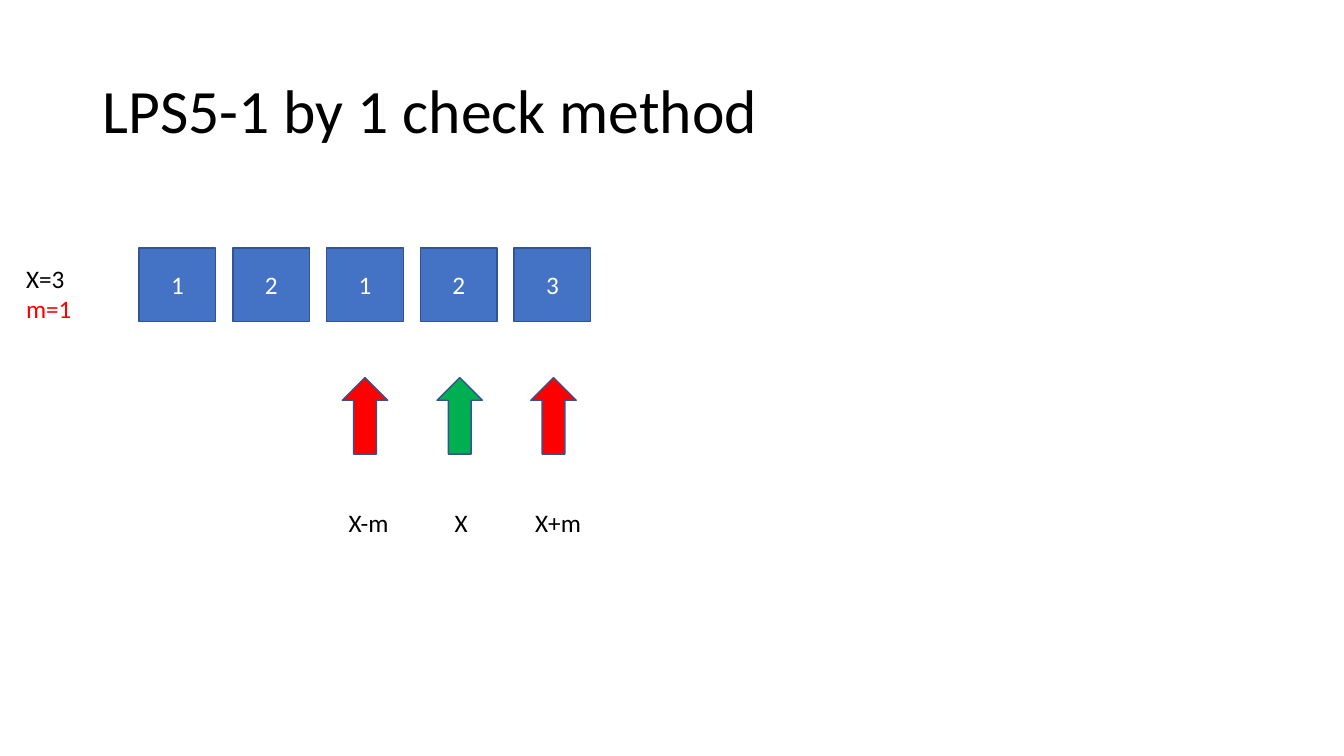
from pptx import Presentation
from pptx.dml.color import RGBColor
from pptx.enum import shapes, text
from pptx.util import Inches, Pt

BLACK = RGBColor(0, 0, 0)
WHITE = RGBColor(255, 255, 255)
BLUE = RGBColor(0x44, 0x72, 0xC4)
EDGE = RGBColor(0x32, 0x54, 0x91)
RED = RGBColor(255, 0, 0)
GREEN = RGBColor(0, 0xB0, 0x50)

FONT = "Calibri"
LEFT, STEP, WIDTH = 1.38, 0.93, 0.76


def style(para, color, size=18):
    for run in para.runs:
        run.font.name = FONT
        run.font.size = Pt(size)
        run.font.color.rgb = color


def add_label(slide, box, lines, size=18):
    """Add a text box; lines holds one (words, color) pair per paragraph."""
    frame = slide.shapes.add_textbox(*map(Inches, box)).text_frame
    frame.word_wrap = True
    frame.text = "\n".join(words for words, _ in lines)
    for para, (_, color) in zip(frame.paragraphs, lines):
        style(para, color, size)
    return frame


def add_block(slide, kind, box, fill):
    block = slide.shapes.add_shape(kind, *map(Inches, box))
    block.shadow.inherit = False
    block.fill.solid()
    block.fill.fore_color.rgb = fill
    block.line.color.rgb = EDGE
    block.line.width = Pt(1)
    return block


def add_title(slide, words):
    frame = add_label(slide, (0.92, 0.4, 11.5, 1.45), [(words, BLACK)], 44)
    frame.vertical_anchor = text.MSO_ANCHOR.MIDDLE
    frame.paragraphs[0].line_spacing = 0.9


def add_cell(slide, col, digit):
    box = (LEFT + col * STEP, 2.46, WIDTH, 0.73)
    frame = add_block(slide, shapes.MSO_SHAPE.RECTANGLE, box, BLUE).text_frame
    frame.text = digit
    frame.vertical_anchor = text.MSO_ANCHOR.MIDDLE
    para = frame.paragraphs[0]
    para.alignment = text.PP_ALIGN.CENTER
    style(para, WHITE)


def add_arrow(slide, left, fill):
    box = (left, 3.9, WIDTH, 0.45)
    arrow = add_block(slide, shapes.MSO_SHAPE.RIGHT_ARROW, box, fill)
    arrow.rotation = 270


def main():
    deck = Presentation()
    deck.slide_width, deck.slide_height = Inches(13.33), Inches(7.5)
    slide = deck.slides.add_slide(deck.slide_layouts[6])

    add_title(slide, "LPS5-1 by 1 check method")
    for col, digit in enumerate("12123"):
        add_cell(slide, col, digit)

    marks = [
        (3.24, RED, "X-m", 3.36, 0.77),
        (4.18, GREEN, "X", 4.41, 0.31),
        (5.11, RED, "X+m", 5.21, 0.77),
    ]
    for tip, fill, name, left, width in marks:
        add_arrow(slide, tip, fill)
        add_label(slide, (left, 4.98, width, 0.4), [(name, BLACK)])

    add_label(slide, (0.16, 2.56, 0.76, 0.71), [("X=3", BLACK), ("m=1", RED)])
    deck.save("out.pptx")


if __name__ == "__main__":
    main()
